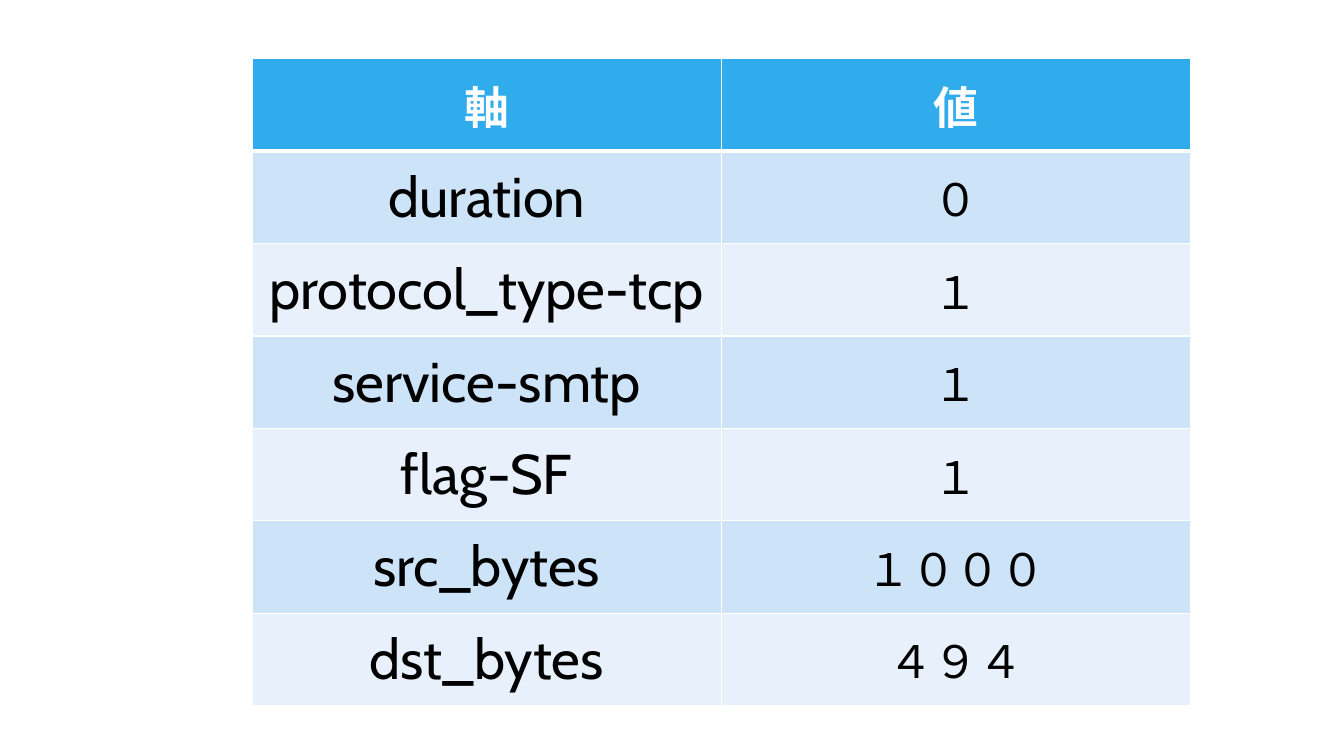
from dataclasses import dataclass

from lxml import etree
from pptx import Presentation
from pptx.dml.color import RGBColor
from pptx.enum.text import MSO_ANCHOR, PP_ALIGN
from pptx.oxml.ns import qn
from pptx.table import _Cell
from pptx.util import Emu, Pt

MIDDLE = MSO_ANCHOR.MIDDLE
CENTER = PP_ALIGN.CENTER

FONT = "Cabin"
WHITE = RGBColor(0xFF, 0xFF, 0xFF)
BLACK = RGBColor(0x00, 0x00, 0x00)
HEADER_BLUE = RGBColor(0x30, 0xAC, 0xEC)
BANDS = (RGBColor(0xCD, 0xE3, 0xF8), RGBColor(0xE8, 0xF1, 0xFB))

EMU_PER_PX = 9525
TABLE_LEFT, TABLE_TOP = 240, 56
COLUMN_WIDTH, ROW_HEIGHT = 447, 88
THIN, THICK = 1, 3


@dataclass(frozen=True)
class CellStyle:
    fill: RGBColor
    color: RGBColor
    size: int
    bold: bool
    top: int = THIN
    bottom: int = THIN


HEADINGS = ("軸", "値")
FEATURES = (
    ("duration", "０"),
    ("protocol_type-tcp", "１"),
    ("service-smtp", "１"),
    ("flag-SF", "１"),
    ("src_bytes", "１０００"),
    ("dst_bytes", "４９４"),
)
HEADING_STYLE = CellStyle(HEADER_BLUE, WHITE, 32, True, bottom=THICK)
FEATURE_SIZES = (40, 32)


def px(length: int) -> Emu:
    return Emu(length * EMU_PER_PX)


def set_borders(cell: _Cell, top: int, bottom: int) -> None:
    """Draw white borders; the widths are in points."""
    properties = cell._tc.get_or_add_tcPr()
    widths = {"a:lnL": THIN, "a:lnR": THIN, "a:lnT": top, "a:lnB": bottom}
    for tag, width in widths.items():
        line = etree.SubElement(properties, qn(tag), w=str(Pt(width)))
        fill = etree.SubElement(line, qn("a:solidFill"))
        etree.SubElement(fill, qn("a:srgbClr"), val=str(WHITE))


def fill_cell(cell: _Cell, text: str, style: CellStyle) -> None:
    set_borders(cell, style.top, style.bottom)
    cell.fill.solid()
    cell.fill.fore_color.rgb = style.fill
    cell.vertical_anchor = MIDDLE
    cell.text = text
    paragraph = cell.text_frame.paragraphs[0]
    paragraph.alignment = CENTER
    font = paragraph.font
    font.name = FONT
    font.size = Pt(style.size)
    font.bold = style.bold
    font.color.rgb = style.color


def main() -> None:
    presentation = Presentation()
    presentation.slide_width = px(1280)
    presentation.slide_height = px(720)
    slide = presentation.slides.add_slide(presentation.slide_layouts[6])

    row_count, column_count = len(FEATURES) + 1, len(HEADINGS)
    table = slide.shapes.add_table(
        row_count, column_count, px(TABLE_LEFT), px(TABLE_TOP),
        px(COLUMN_WIDTH * column_count), px(ROW_HEIGHT * row_count),
    ).table

    for column, heading in enumerate(HEADINGS):
        fill_cell(table.cell(0, column), heading, HEADING_STYLE)
    for index, feature in enumerate(FEATURES):
        top = THICK if index == 0 else THIN
        for column, (text, size) in enumerate(zip(feature, FEATURE_SIZES)):
            style = CellStyle(BANDS[index % 2], BLACK, size, False, top=top)
            fill_cell(table.cell(index + 1, column), text, style)

    presentation.save("out.pptx")


if __name__ == "__main__":
    main()
